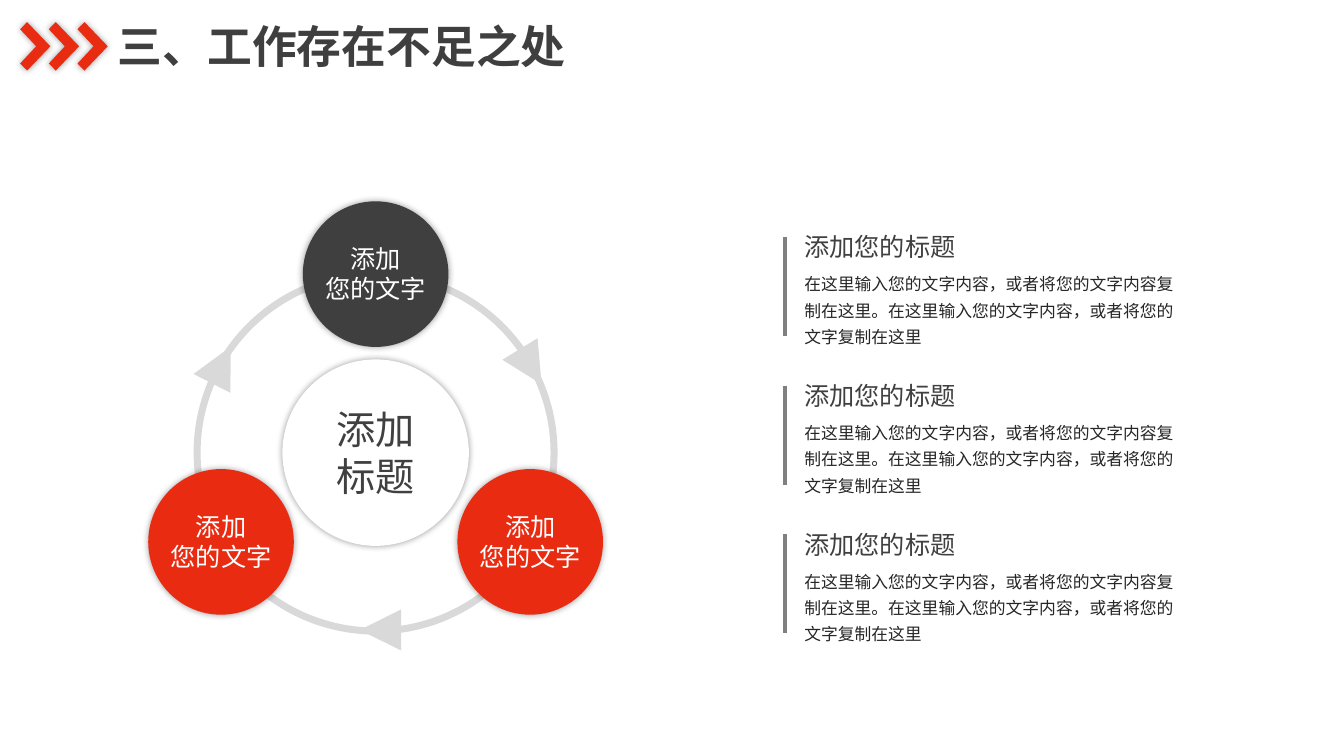
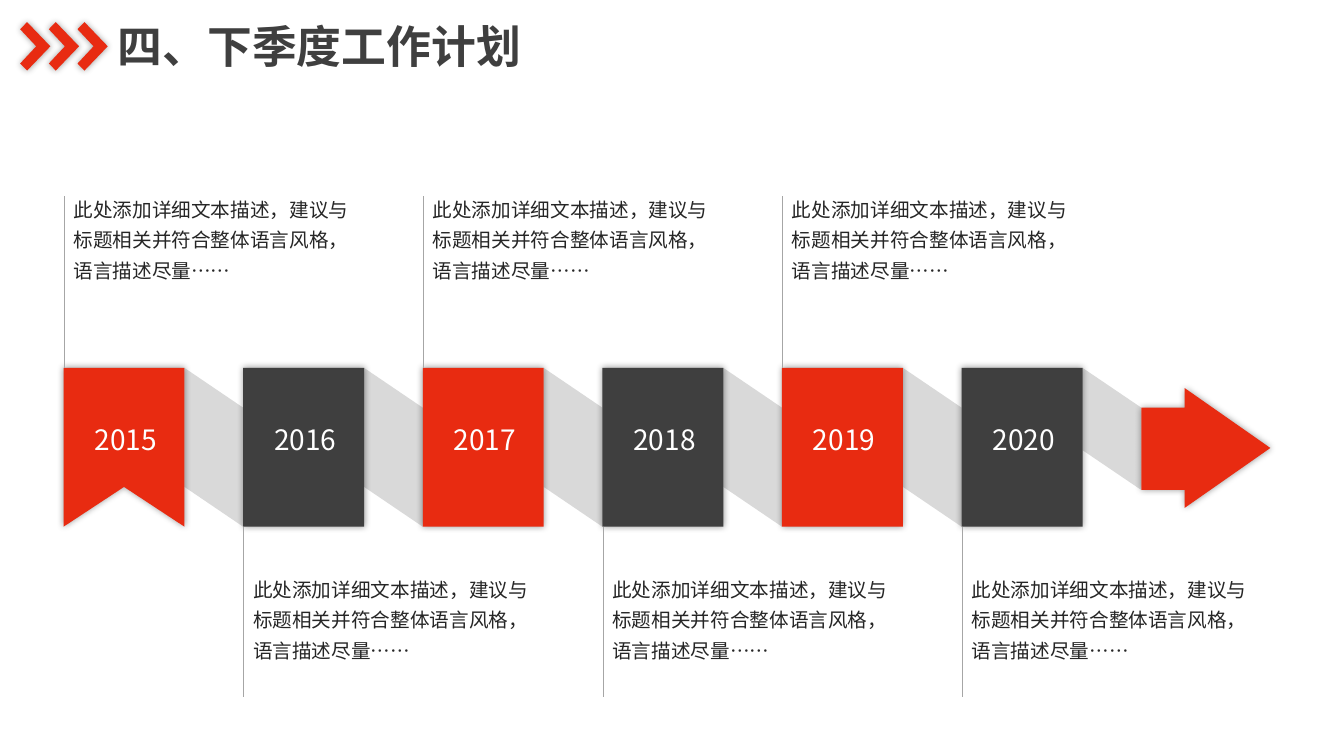
from dataclasses import dataclass
from math import cos, radians, sin

from lxml.etree import SubElement
from pptx import Presentation
from pptx.dml.color import RGBColor
from pptx.enum.shapes import MSO_CONNECTOR, MSO_SHAPE
from pptx.enum.text import MSO_ANCHOR, PP_ALIGN
from pptx.oxml.ns import qn
from pptx.presentation import Presentation as PresentationType
from pptx.shapes.autoshape import Shape
from pptx.slide import Slide
from pptx.util import Pt

FONT = "Noto Sans CJK SC"
RED, CHARCOAL, WHITE = "E82B11", "3F3F3F", "FFFFFF"
SILVER, GREY, LIGHT_GREY = "D9D9D9", "808080", "A6A6A6"
HEADING, BODY = "404040", "262626"

Point = tuple[float, float]


@dataclass(frozen=True)
class Box:
    left: float
    top: float
    width: float
    height: float

    @classmethod
    def centred(cls, centre: Point, width: float, height: float) -> "Box":
        return cls(centre[0] - width / 2, centre[1] - height / 2, width, height)

    def lengths(self) -> list[Pt]:
        return [Pt(value) for value in (self.left, self.top, self.width, self.height)]


@dataclass(frozen=True)
class TextStyle:
    size: float
    colour: str
    bold: bool = False
    align: PP_ALIGN = PP_ALIGN.LEFT
    anchor: MSO_ANCHOR = MSO_ANCHOR.TOP
    spacing: float = 1.0
    wrap: bool = True


@dataclass(frozen=True)
class CycleNode:
    angle: float
    colour: str


@dataclass(frozen=True)
class CycleArrow:
    angle: float
    rotation: float


@dataclass(frozen=True)
class Milestone:
    year: str
    colour: str
    above: bool


TITLE_STYLE = TextStyle(32, CHARCOAL, bold=True, wrap=False)
HUB_STYLE = TextStyle(28, HEADING, align=PP_ALIGN.CENTER)
NODE_STYLE = TextStyle(18, WHITE, align=PP_ALIGN.CENTER)
HEADING_STYLE = TextStyle(18, HEADING)
DETAIL_STYLE = TextStyle(12, BODY, spacing=1.3)
YEAR_STYLE = TextStyle(20, WHITE, align=PP_ALIGN.CENTER, anchor=MSO_ANCHOR.MIDDLE)
NOTE_STYLE = TextStyle(14, BODY, spacing=1.3)

NODES = [CycleNode(-90, CHARCOAL), CycleNode(150, RED), CycleNode(30, RED)]
ARROWS = [CycleArrow(-29, 148.5), CycleArrow(88.4, 270), CycleArrow(209.6, 27.1)]
MILESTONES = [
    Milestone(str(2015 + index), CHARCOAL if index % 2 else RED, index % 2 == 0)
    for index in range(6)
]
DETAIL = "在这里输入您的文字内容，或者将您的文字内容复制在这里。在这里输入您的文字内容，或者将您的文字复制在这里"
NOTE = "此处添加详细文本描述，建议与标题相关并符合整体语言风格，语言描述尽量……"


def colour(value: str) -> RGBColor:
    return RGBColor.from_string(value)


def paint(shape: Shape, fill: str, shadow: bool = False) -> None:
    shape.fill.solid()
    shape.fill.fore_color.rgb = colour(fill)
    shape.line.fill.background()
    shape.shadow.inherit = False
    if shadow:
        effects = shape._element.spPr.find(qn("a:effectLst"))
        outer = SubElement(effects, qn("a:outerShdw"), blurRad=str(Pt(5)), dist="0", dir="0")
        tone = SubElement(outer, qn("a:srgbClr"), val="000000")
        SubElement(tone, qn("a:alpha"), val="40000")


def add_preset(slide: Slide, kind: MSO_SHAPE, box: Box, fill: str, shadow: bool = False) -> Shape:
    shape = slide.shapes.add_shape(kind, *box.lengths())
    paint(shape, fill, shadow)
    return shape


def add_outline(slide: Slide, points: list[Point], fill: str, shadow: bool = False) -> None:
    corners = [(Pt(x), Pt(y)) for x, y in points]
    builder = slide.shapes.build_freeform(*corners[0], scale=1.0)
    builder.add_line_segments(corners[1:], close=True)
    paint(builder.convert_to_shape(), fill, shadow)


def add_text(slide: Slide, box: Box, lines: list[str], style: TextStyle) -> None:
    frame = slide.shapes.add_textbox(*box.lengths()).text_frame
    frame.word_wrap = style.wrap
    frame.vertical_anchor = style.anchor
    font_format = {"name": FONT, "size": Pt(style.size), "bold": style.bold}
    for index, line in enumerate(lines):
        paragraph = frame.add_paragraph() if index else frame.paragraphs[0]
        paragraph.alignment = style.align
        paragraph.line_spacing = style.spacing
        run = paragraph.add_run()
        run.text = line
        for name, value in font_format.items():
            setattr(run.font, name, value)
        run.font.color.rgb = colour(style.colour)
        SubElement(run._r.get_or_add_rPr(), qn("a:ea"), typeface=FONT)


def add_vertical_line(slide: Slide, x: float, top: float, bottom: float, tone: str, width: float) -> None:
    line = slide.shapes.add_connector(MSO_CONNECTOR.STRAIGHT, Pt(x), Pt(top), Pt(x), Pt(bottom))
    line.line.color.rgb = colour(tone)
    line.line.width = Pt(width)
    SubElement(line._element.spPr, qn("a:effectLst"))


def add_titled_slide(presentation: PresentationType, title: str) -> Slide:
    slide = presentation.slides.add_slide(presentation.slide_layouts[6])
    title_width = len(title) * TITLE_STYLE.size + 17.5
    add_text(slide, Box(77, 10, title_width, 46), [title], TITLE_STYLE)
    chevron = [(0, 20.9), (5, 15.8), (21.6, 33.1), (5, 50.4), (0, 45.4), (11.5, 33.1)]
    for index in range(3):
        left = 14.4 + index * 20.5
        add_outline(slide, [(left + x, y) for x, y in chevron], RED, shadow=True)
    return slide


def around(centre: Point, radius: float, angle: float) -> Point:
    turn = radians(angle)
    return centre[0] + radius * cos(turn), centre[1] + radius * sin(turn)


def draw_cycle(slide: Slide) -> None:
    centre = (268.3, 323.3)
    ring_size, ring_width, node_size, arrow_size, hub_size = 260, 5, 104, 29.5, 133.2
    ring = add_preset(slide, MSO_SHAPE.DONUT, Box.centred(centre, ring_size, ring_size), SILVER)
    ring.adjustments[0] = ring_width / ring_size
    for arrow in ARROWS:
        place = Box.centred(around(centre, 126.7, arrow.angle), arrow_size, arrow_size)
        add_preset(slide, MSO_SHAPE.ISOSCELES_TRIANGLE, place, SILVER).rotation = arrow.rotation
    add_preset(slide, MSO_SHAPE.OVAL, Box.centred(centre, hub_size, hub_size), WHITE, shadow=True)
    add_text(slide, Box.centred(centre, 90, 75), ["添加", "标题"], HUB_STYLE)
    for node in NODES:
        middle = around(centre, 127.5, node.angle)
        add_preset(slide, MSO_SHAPE.OVAL, Box.centred(middle, node_size, node_size), node.colour, shadow=True)
        add_text(slide, Box.centred(middle, 101, 51), ["添加", "您的文字"], NODE_STYLE)


def draw_details(slide: Slide) -> None:
    left = 567.4
    for index in range(3):
        top = 162 + index * 106.2
        add_text(slide, Box(left, top + 26, 289.4, 64), [DETAIL], DETAIL_STYLE)
        add_text(slide, Box(left, top, 240.5, 29), ["添加您的标题"], HEADING_STYLE)
        add_vertical_line(slide, left - 6.5, top + 7.2, top + 78, GREY, 3)


def draw_timeline(slide: Slide) -> None:
    first, pitch, width, top, height, fold = 45.4, 128.3, 86.4, 262.8, 113.4, 28.4
    bottom = top + height
    arrow_left = first + len(MILESTONES) * pitch
    arrow_top, arrow_bottom = top + fold, 350

    for index in range(len(MILESTONES)):
        left = first + index * pitch + width
        right = first + (index + 1) * pitch
        end = arrow_bottom if right == arrow_left else bottom
        band = [(left, top), (right, top + fold), (right, end), (left, end - fold)]
        add_outline(slide, band, SILVER)

    neck, tip = arrow_left + 31, arrow_left + 92.2
    arrow = [
        (neck, 362.8), (neck, arrow_bottom), (arrow_left, arrow_bottom),
        (arrow_left, arrow_top), (neck, arrow_top), (neck, 277.2), (tip, 320),
    ]
    add_outline(slide, arrow, RED, shadow=True)

    for index, milestone in enumerate(MILESTONES):
        left = first + index * pitch
        if index == 0:
            ribbon = [
                (left, top), (left + width, top), (left + width, bottom),
                (left + width / 2, bottom - fold), (left, bottom),
            ]
            add_outline(slide, ribbon, milestone.colour, shadow=True)
        else:
            card = Box(left, top, width, height)
            add_preset(slide, MSO_SHAPE.RECTANGLE, card, milestone.colour, shadow=True)
        add_text(slide, Box(left - 9.3, 275.8, 107.3, 75.6), [milestone.year], YEAR_STYLE)

        note_top = 132.6 if milestone.above else 404
        line_top, line_bottom = (140.2, top) if milestone.above else (bottom, 498.2)
        add_text(slide, Box(left, note_top, 214.6, 104.4), [NOTE], NOTE_STYLE)
        add_vertical_line(slide, left + 0.4, line_top, line_bottom, LIGHT_GREY, 0.5)


def main() -> None:
    presentation = Presentation()
    presentation.slide_width, presentation.slide_height = Pt(960), Pt(540)
    shortcomings = add_titled_slide(presentation, "三、工作存在不足之处")
    draw_cycle(shortcomings)
    draw_details(shortcomings)
    draw_timeline(add_titled_slide(presentation, "四、下季度工作计划"))
    presentation.save("out.pptx")


if __name__ == "__main__":
    main()
